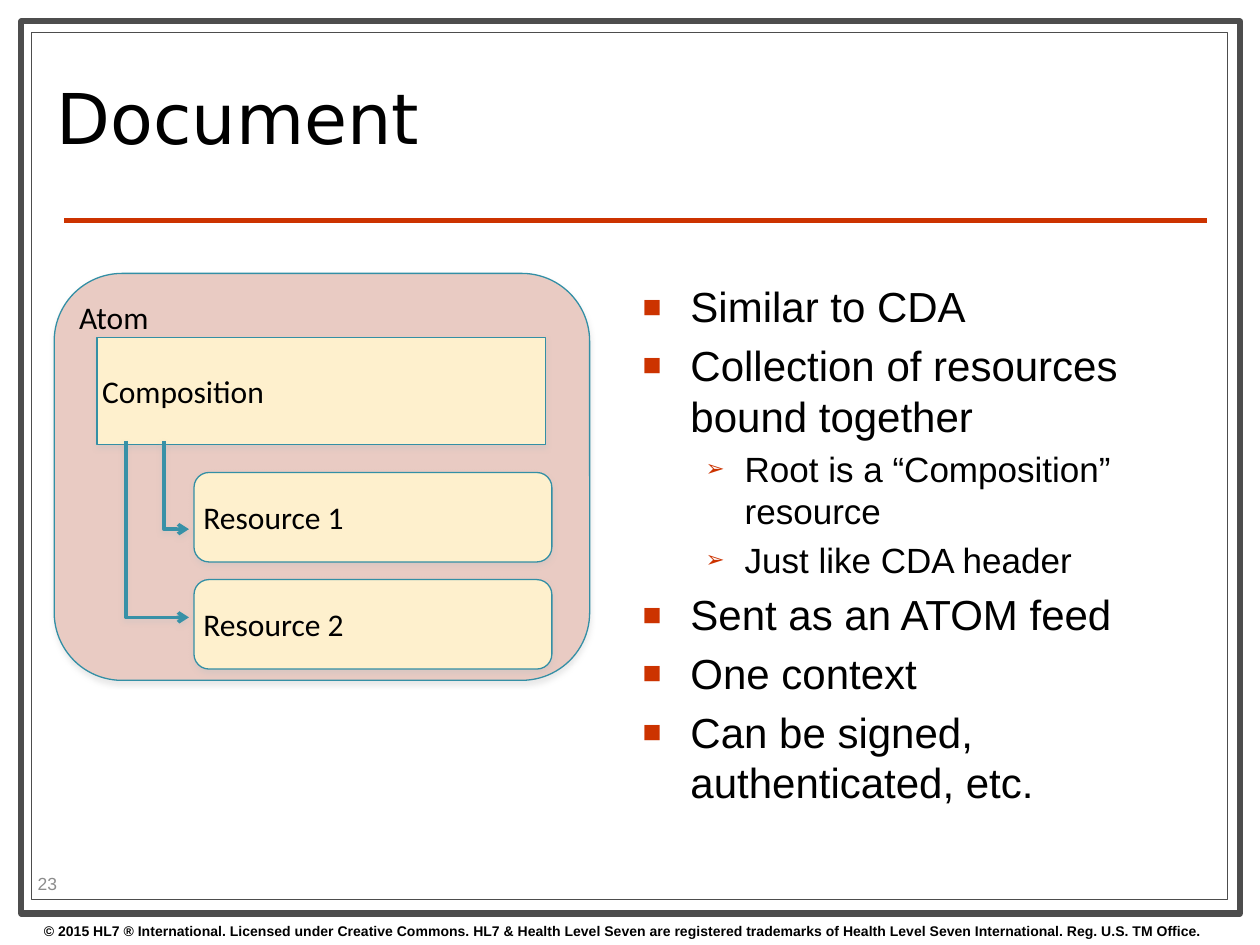
from dataclasses import dataclass

from lxml.etree import SubElement
from pptx import Presentation
from pptx.dml.color import RGBColor
from pptx.enum.shapes import MSO_CONNECTOR, MSO_SHAPE
from pptx.enum.text import MSO_ANCHOR, MSO_AUTO_SIZE, PP_ALIGN
from pptx.oxml.ns import qn
from pptx.util import Inches, Pt

COLS, ROWS = 100, 75
CELL = Inches(0.1)


@dataclass(frozen=True)
class Theme:
    ink: str = "000000"
    paper: str = "FFFFFF"
    frame: str = "4D4D4D"
    accent: str = "CC3300"
    edge: str = "338FA5"
    link: str = "3891A7"
    feed: str = "E9CBC3"
    entry: str = "FEF0CD"
    shade: str = "C0C0C0"
    faint: str = "8C8C8C"
    head: str = "DejaVu Sans"
    body: str = "Arial"
    label: str = "Calibri"
    title: int = 40
    levels: tuple = (24, 20)
    box: int = 18
    page: int = 10
    legal: int = 8


def cells(*vals):
    """Turn grid columns and rows into lengths."""
    return [round(v * CELL) for v in vals]


def add(node, tag, **attrs):
    return SubElement(node, qn(tag), {k: str(v) for k, v in attrs.items()})


class Page:
    def __init__(self, deck, theme):
        self.theme = theme
        self.slide = deck.slides.add_slide(deck.slide_layouts[1])
        self.shapes = self.slide.shapes
        fill = self.slide.background.fill
        fill.solid()
        fill.fore_color.rgb = RGBColor.from_string(theme.paper)

    def style(self, para, size, face, color=None, bold=False):
        for run in para.runs:
            font = run.font
            font.size, font.name, font.bold = Pt(size), face, bold
            font.color.rgb = RGBColor.from_string(color or self.theme.ink)

    def stroke(self, shape, color, width):
        shape.line.color.rgb = RGBColor.from_string(color)
        shape.line.width = Pt(width)

    def shade(self, shape, alpha, dist):
        """Cast a soft shadow straight down."""
        props = shape._element.spPr
        for old in props.findall(qn("a:effectLst")):
            props.remove(old)
        effects = add(props, "a:effectLst")
        cast = add(effects, "a:outerShdw", blurRad=Pt(3), dist=Pt(dist),
                   dir=5400000, rotWithShape=0)
        tone = add(cast, "a:srgbClr", val=self.theme.shade)
        add(tone, "a:alpha", val=alpha * 1000)

    def panel(self, at, fill, color, width, kind=MSO_SHAPE.RECTANGLE):
        shape = self.shapes.add_shape(kind, *cells(*at))
        shape.shadow.inherit = False
        shape.fill.solid()
        shape.fill.fore_color.rgb = RGBColor.from_string(fill)
        self.stroke(shape, color, width)
        return shape

    def box(self, text, at, fill, kind=MSO_SHAPE.ROUNDED_RECTANGLE,
            anchor=MSO_ANCHOR.MIDDLE):
        shape = self.panel(at, fill, self.theme.edge, 0.75, kind)
        self.shade(shape, 35, 1.8)
        frame = shape.text_frame
        frame.margin_left = frame.margin_right = Inches(0.04)
        frame.margin_top = frame.margin_bottom = Inches(0.04)
        frame.vertical_anchor = anchor
        frame.text = text
        para = frame.paragraphs[0]
        para.alignment = PP_ALIGN.LEFT
        self.style(para, self.theme.box, self.theme.label)

    def rule(self, x, y, end):
        line = self.shapes.add_connector(
            MSO_CONNECTOR.STRAIGHT, *cells(x, y, end, y))
        self.stroke(line, self.theme.accent, 3)
        add(line._element.spPr, "a:effectLst")

    def elbow(self, x, top, end, y):
        """Draw an arrow that drops from top, then runs right to end."""
        pen = self.shapes.build_freeform(x, top, scale=CELL)
        pen.add_line_segments([(x, y), (end, y)], close=False)
        shape = pen.convert_to_shape()
        shape.fill.background()
        self.stroke(shape, self.theme.link, 2)
        line = shape._element.spPr.find(qn("a:ln"))
        add(line, "a:tailEnd", type="arrow")
        self.shade(shape, 38, 1.6)

    def note(self, text, at, size, color=None, bold=False,
             anchor=MSO_ANCHOR.TOP):
        frame = self.shapes.add_textbox(*cells(*at)).text_frame
        frame.word_wrap = True
        frame.vertical_anchor = anchor
        frame.text = text
        self.style(frame.paragraphs[0], size, self.theme.body, color, bold)

    def place(self, holder, at, anchor):
        """Move a placeholder to its spot, in front of what is drawn."""
        holder.left, holder.top, holder.width, holder.height = cells(*at)
        self.shapes._spTree.append(holder._element)
        frame = holder.text_frame
        frame.auto_size = MSO_AUTO_SIZE.NONE
        frame.vertical_anchor = anchor
        return frame

    def title(self, text, at):
        frame = self.place(self.shapes.title, at, MSO_ANCHOR.MIDDLE)
        frame.text = text
        para = frame.paragraphs[0]
        para.alignment, para.line_spacing = PP_ALIGN.LEFT, 0.8
        self.style(para, self.theme.title, self.theme.head)

    def bullet(self, para, level):
        indent, hang, size, mark = ((0.38, 0.38, 75, "■"),
                                    (0.81, 0.31, 65, "➢"))[level]
        props = para._p.get_or_add_pPr()
        props.set("marL", str(Inches(indent)))
        props.set("indent", str(-Inches(hang)))
        tone = add(props, "a:buClr")
        add(tone, "a:srgbClr", val=self.theme.accent)
        add(props, "a:buSzPct", val=size * 1000)
        add(props, "a:buFont", typeface=self.theme.body)
        add(props, "a:buChar", char=mark)

    def points(self, items, at):
        frame = self.place(self.slide.placeholders[1], at, MSO_ANCHOR.TOP)
        frame.text = "\n".join(text for _, text in items)
        for para, (level, _) in zip(frame.paragraphs, items):
            para.level = level
            self.bullet(para, level)
            self.style(para, self.theme.levels[level], self.theme.body)
        frame.paragraphs[0].space_before = Pt(0)


def main():
    deck = Presentation()
    deck.slide_width, deck.slide_height = cells(COLS, ROWS)
    theme = Theme()
    page = Page(deck, theme)

    page.panel((1.7, 1.7, 96.7, 70.8), theme.paper, theme.frame, 3.5)
    page.panel((2.5, 2.6, 94.9, 68.8), theme.paper, theme.frame, 0.75)
    page.rule(5.1, 17.5, 95.8)
    page.note("© 2015 HL7 ® International. Licensed under Creative Commons. "
              "HL7 & Health Level Seven are registered trademarks of Health "
              "Level Seven International. Reg. U.S. TM Office.",
              (2.5, 72.7, 100, 2.3), theme.legal, bold=True)
    page.title("Document", (3.5, 3.6, 71.7, 12.6))
    page.note("23", (2, 68.9, 7.9, 2.4), theme.page, theme.faint,
              anchor=MSO_ANCHOR.MIDDLE)

    page.box("Atom", (4.3, 21.7, 42.5, 32.3), theme.feed,
             anchor=MSO_ANCHOR.TOP)
    left, first, step = 15.4, 37.5, 8.5
    for i in range(2):
        page.box(f"Resource {i + 1}", (left, first + i * step, 28.4, 7.1),
                 theme.entry)
    page.box("Composition", (7.7, 26.8, 35.6, 8.5), theme.entry,
             MSO_SHAPE.RECTANGLE)
    for x, y in ((13, 42.3), (9.8, 49.3)):
        page.elbow(x, 35.3, left, y)

    page.points([
        (0, "Similar to CDA"),
        (0, "Collection of resources bound together"),
        (1, "Root is a “Composition” resource"),
        (1, "Just like CDA header"),
        (0, "Sent as an ATOM feed"),
        (0, "One context"),
        (0, "Can be signed, authenticated, etc."),
    ], (50, 21.8, 42.5, 44.9))

    deck.save("out.pptx")


if __name__ == "__main__":
    main()
